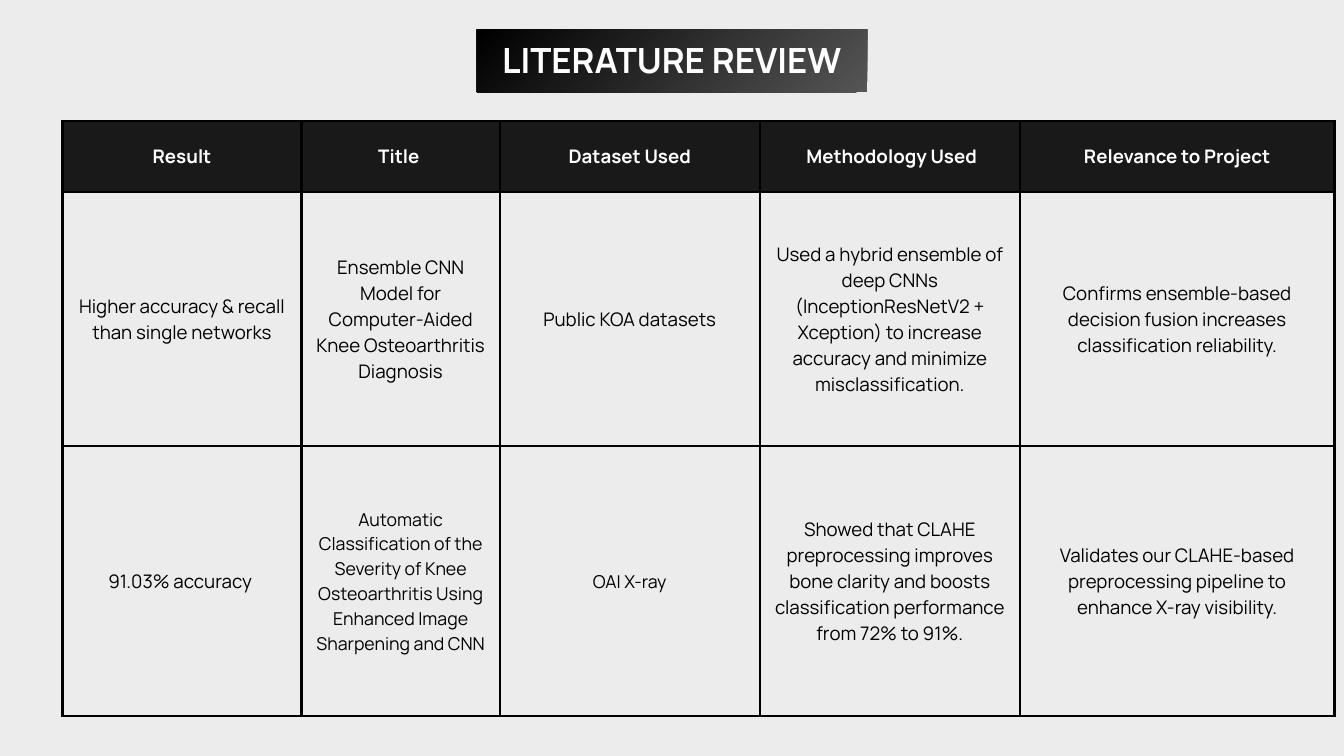
"""Build the literature review slide with its comparison table."""
from dataclasses import dataclass

from lxml import etree
from pptx import Presentation, util as u
from pptx.dml.color import RGBColor
from pptx.enum import shapes, text
from pptx.oxml import parse_xml
from pptx.oxml.ns import nsdecls


@dataclass(frozen=True)
class Theme:
    font: str = "Manrope"
    page: str = "ECECEC"
    ink: str = "000000"
    light: str = "FFFFFF"
    header: str = "191919"
    fade: str = "555555"
    title: float = 37.2
    body: float = 20
    small: float = 19
    leading: float = 1.4
    border: float = 3


T = Theme()
HEADERS = ["Result", "Title ", "Dataset Used", " Methodology Used", "Relevance to Project"]
STUDIES = [
    ["Higher accuracy & recall than single networks",
     "Ensemble CNN Model for Computer-Aided Knee Osteoarthritis Diagnosis",
     "Public KOA datasets",
     "Used a hybrid ensemble of deep CNNs (InceptionResNetV2 + Xception) to increase "
     "accuracy and minimize misclassification.",
     "Confirms ensemble-based decision fusion increases classification reliability."],
    ["91.03% accuracy ",
     "Automatic Classification of the Severity of Knee Osteoarthritis Using Enhanced "
     "Image Sharpening and CNN",
     "OAI X-ray",
     "Showed that CLAHE preprocessing improves bone clarity and boosts classification "
     "performance from 72% to 91%.",
     "Validates our CLAHE-based preprocessing pipeline to enhance X-ray visibility."],
]
COL_WIDTHS = [9.04, 7.49, 9.83, 9.83, 11.89]
ROW_HEIGHTS = [2.69, 9.6, 10.21]
SMALL_CELLS = {(2, 1), (2, 2)}


def write(tf, words, size, color, bold):
    tf.word_wrap = True
    p = tf.paragraphs[0]
    p.alignment = text.PP_ALIGN.CENTER
    p.line_spacing = u.Pt(round(size * T.leading, 1))
    r = p.add_run()
    r.text = words
    r.font.name = T.font
    r.font.size = u.Pt(size)
    r.font.bold = bold
    r.font.color.rgb = RGBColor.from_string(color)


def add_borders(cell):
    tcPr = cell._tc.get_or_add_tcPr()
    for i, side in enumerate("LRTB"):
        tcPr.insert(i, parse_xml(
            f'<a:ln{side} {nsdecls("a")} w="{u.Pt(T.border)}"><a:solidFill>'
            f'<a:srgbClr val="{T.ink}"/></a:solidFill></a:ln{side}>'))


prs = Presentation()
prs.slide_width, prs.slide_height = u.Cm(50.8), u.Cm(28.58)
s = prs.slides.add_slide(prs.slide_layouts[6])
s.background.fill.solid()
s.background.fill.fore_color.rgb = RGBColor.from_string(T.page)

sp = s.shapes.add_shape(shapes.MSO_SHAPE.RECTANGLE, u.Cm(18.03), u.Cm(1.12), u.Cm(14.76), u.Cm(2.36))
sp.shadow.inherit = False
sp.line.fill.background()
sp.fill.gradient()
for stop, color in zip(sp.fill.gradient_stops, (T.ink, T.fade)):
    stop.color.rgb = RGBColor.from_string(color)
grad = sp._element.spPr.find("{*}gradFill")
grad.remove(grad.find("{*}lin"))
grad.append(etree.fromstring(
    f'<a:path {nsdecls("a")} path="circle"><a:fillToRect r="100000" b="100000"/></a:path>'))
for stop, position in zip(sp.fill.gradient_stops, (0, 1)):
    stop.position = position

title = s.shapes.add_textbox(u.Cm(18.59), u.Cm(1.22), u.Cm(13.61), u.Cm(1.85))
tf = title.text_frame
tf.margin_left = tf.margin_right = tf.margin_top = tf.margin_bottom = 0
write(tf, "LITERATURE REVIEW", T.title, T.light, True)

frame = s.shapes.add_table(len(ROW_HEIGHTS), len(COL_WIDTHS), u.Cm(2.36), u.Cm(4.57),
                           u.Cm(sum(COL_WIDTHS)), u.Cm(sum(ROW_HEIGHTS)))
table = frame.table
table.first_row = table.horz_banding = False
for column, width in zip(table.columns, COL_WIDTHS):
    column.width = u.Cm(width)
for row, height in zip(table.rows, ROW_HEIGHTS):
    row.height = u.Cm(height)

for i, entries in enumerate([HEADERS, *STUDIES]):
    for j, words in enumerate(entries):
        cell = table.cell(i, j)
        cell.vertical_anchor = text.MSO_ANCHOR.MIDDLE
        cell.margin_left = cell.margin_right = cell.margin_top = cell.margin_bottom = u.Cm(0.53)
        if i == 0:
            cell.fill.solid()
            cell.fill.fore_color.rgb = RGBColor.from_string(T.header)
        else:
            cell.fill.background()
        add_borders(cell)
        size = T.small if (i, j) in SMALL_CELLS else T.body
        write(cell.text_frame, words, size, T.ink if i else T.light, i == 0)

prs.save("out.pptx")
